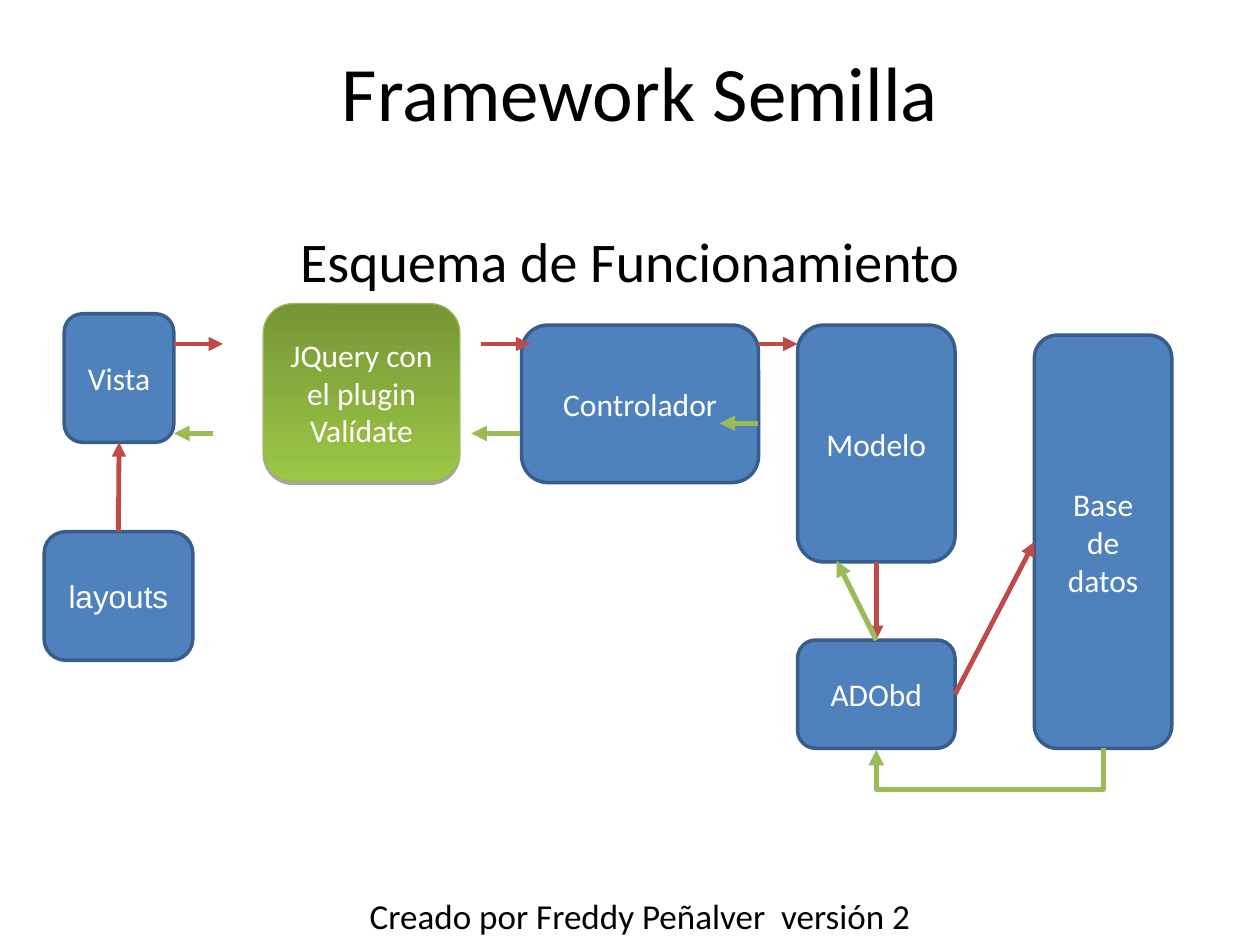
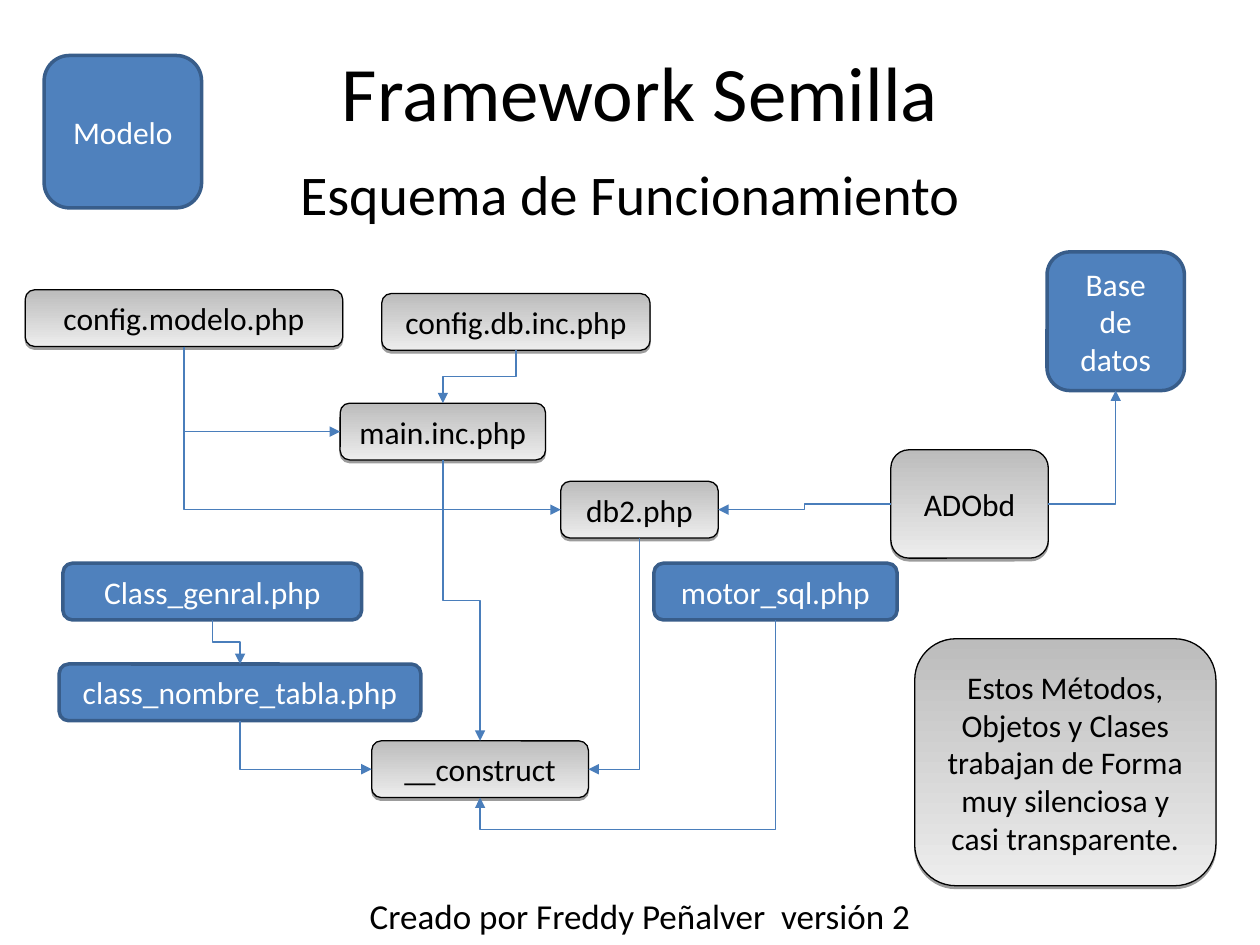
from collections import namedtuple

from lxml.etree import SubElement
from pptx import Presentation
from pptx.dml.color import RGBColor
from pptx.enum.shapes import MSO_CONNECTOR, MSO_SHAPE
from pptx.enum.text import MSO_ANCHOR, PP_ALIGN
from pptx.oxml.ns import qn
from pptx.util import Inches, Pt

FONT = "Calibri"
BLACK, WHITE = "000000", "FFFFFF"
TOP, LEFT, BOTTOM, RIGHT = range(4)

BoxStyle = namedtuple("BoxStyle", "fill border border_width text shadow")
BLUE = BoxStyle(["4F81BD"], "385D8A", 2, WHITE, None)
GREEN = BoxStyle(["9CC746", "769535"], "98B954", 0.75, WHITE, (35, 1.8))
GRAY = BoxStyle(["EDEDED", "BCBCBC"], BLACK, 0.75, BLACK, (38, 1.6))

LineStyle = namedtuple("LineStyle", "color width")
REQUEST = LineStyle("BE4B48", 2.75)
RESPONSE = LineStyle("9BBB59", 3)
DEPENDENCY = LineStyle("4A7EBB", 0.75)

Region = namedtuple("Region", "slide left top")
Joint = namedtuple("Joint", "box side")


def rgb(value):
    return RGBColor.from_string(value)


def write(shape, text, size, color, font=FONT):
    frame = shape.text_frame
    frame.word_wrap = True
    frame.vertical_anchor = MSO_ANCHOR.MIDDLE
    frame.text = text
    paragraph = frame.paragraphs[0]
    paragraph.alignment = PP_ALIGN.CENTER
    run_font = paragraph.runs[0].font
    run_font.name, run_font.size = font, Pt(size)
    run_font.color.rgb = rgb(color)
    return frame


def add_text(slide, box, text, size):
    label = slide.shapes.add_textbox(*map(Inches, box))
    return write(label, text, size, BLACK)


def add_shadow(shape, opacity, distance):
    effects = shape.element.spPr.find(qn("a:effectLst"))
    shadow = SubElement(effects, qn("a:outerShdw"), blurRad="0",
                        dist=str(Pt(distance)), dir="5400000", rotWithShape="0")
    color = SubElement(shadow, qn("a:srgbClr"), val=BLACK)
    SubElement(color, qn("a:alpha"), val=str(opacity * 1000))


def add_box(region, text, left, top, width, height, style=BLUE, font=FONT):
    box = region.slide.shapes.add_shape(
        MSO_SHAPE.ROUNDED_RECTANGLE, Inches(region.left + left),
        Inches(region.top + top), Inches(width), Inches(height))
    box.shadow.inherit = False
    if style.shadow:
        add_shadow(box, *style.shadow)
    if len(style.fill) == 1:
        box.fill.solid()
        box.fill.fore_color.rgb = rgb(style.fill[0])
    else:
        box.fill.gradient()
        box.fill.gradient_angle = 90
        for stop, color in zip(box.fill.gradient_stops, style.fill):
            stop.color.rgb = rgb(color)
    box.line.color.rgb = rgb(style.border)
    box.line.width = Pt(style.border_width)
    write(box, text, 18, style.text, font)
    return box


def locate(region, end):
    """Slide position of a joint, or of a point given in inches in the region."""
    if not isinstance(end, Joint):
        return Inches(region.left + end[0]), Inches(region.top + end[1])
    box, side = end
    across = {LEFT: 0, RIGHT: box.width}.get(side, box.width // 2)
    down = {TOP: 0, BOTTOM: box.height}.get(side, box.height // 2)
    return box.left + across, box.top + down


def style_arrow(connector, style):
    connector.line.color.rgb = rgb(style.color)
    connector.line.width = Pt(style.width)
    properties = connector.element.spPr
    SubElement(properties.find(qn("a:ln")), qn("a:tailEnd"), type="triangle")
    SubElement(properties, qn("a:effectLst"))


def add_arrow(region, start, end, style):
    arrow = region.slide.shapes.add_connector(
        MSO_CONNECTOR.STRAIGHT, *locate(region, start), *locate(region, end))
    if isinstance(start, Joint):
        arrow.begin_connect(*start)
    if isinstance(end, Joint):
        arrow.end_connect(*end)
    style_arrow(arrow, style)


def add_elbow(region, start, end, style=DEPENDENCY, bend=0.5):
    """Right-angled arrow; bend is the share of the way where it turns."""
    (x1, y1), (x2, y2) = locate(region, start), locate(region, end)
    starts_down = start.side == BOTTOM
    turns_once = starts_down != (end.side in (TOP, BOTTOM))
    if starts_down:
        # Lay the route out sideways around its centre, then turn it 90°.
        center_x, center_y = (x1 + x2) // 2, (y1 + y2) // 2
        half_length, half_rise = (y2 - y1) // 2, (x1 - x2) // 2
        x1, x2 = center_x - half_length, center_x + half_length
        y1, y2 = center_y - half_rise, center_y + half_rise
    elbow = region.slide.shapes.add_connector(MSO_CONNECTOR.ELBOW, x1, y1, x2, y2)
    properties = elbow.element.spPr
    if starts_down:
        properties.find(qn("a:xfrm")).set("rot", "5400000")
    geometry = properties.find(qn("a:prstGeom"))
    if turns_once:
        geometry.set("prst", "bentConnector2")
    else:
        SubElement(geometry.find(qn("a:avLst")), qn("a:gd"), name="adj1",
                   fmla=f"val {round(bend * 100000)}")
    style_arrow(elbow, style)


def add_frame(presentation, subtitle_top):
    """New slide with the shared title, subtitle and footer."""
    slide = presentation.slides.add_slide(presentation.slide_layouts[6])
    add_text(slide, (0.39, 0.23, 9.38, 0.98), "Framework Semilla", 44)
    add_text(slide, (0.39, 7.03, 9.38, 0.47),
             "Creado por Freddy Peñalver  versión 2", 20)
    subtitle = add_text(slide, (0.5, subtitle_top, 9, 0.64),
                        "Esquema de Funcionamiento", 32)
    subtitle.vertical_anchor = MSO_ANCHOR.TOP
    subtitle.paragraphs[0].space_before = Pt(8)
    return slide


def draw_request_flow(region):
    vista = add_box(region, "Vista", 0.21, 0.09, 0.87, 1.02)
    add_box(region, "Controlador", 3.84, 0.18, 1.88, 1.25)
    modelo = add_box(region, "Modelo", 6.03, 0.18, 1.25, 1.88)
    adobd = add_box(region, "ADObd", 6.03, 2.68, 1.25, 0.86)
    base = add_box(region, "Base de datos", 7.91, 0.26, 1.09, 3.28)
    add_box(region, "JQuery con el plugin Valídate", 1.79, 0.01, 1.56, 1.41, GREEN)
    layouts = add_box(region, "layouts", 0.05, 1.82, 1.18, 1.02, font="Arial")

    for start, end in ((1.08, 1.47), (3.52, 3.91), (5.72, 6.03)):
        add_arrow(region, (start, 0.33), (end, 0.33), REQUEST)
    for start, end, y in ((5.72, 5.41, 0.96), (3.83, 3.44, 1.04), (1.39, 1.08, 1.04)):
        add_arrow(region, (start, y), (end, y), RESPONSE)

    add_arrow(region, Joint(layouts, TOP), Joint(vista, BOTTOM), REQUEST)
    add_arrow(region, Joint(modelo, BOTTOM), Joint(adobd, TOP), REQUEST)
    add_arrow(region, Joint(adobd, RIGHT), Joint(base, LEFT), REQUEST)
    add_arrow(region, Joint(adobd, TOP), (6.34, 2.05), RESPONSE)
    # Both ends lie level, so a short drop carries the bend below them.
    drop = 0.01
    landing = Joint(namedtuple("Spot", "left top width height")(
        adobd.left, adobd.top, adobd.width, adobd.height + Inches(drop)), BOTTOM)
    add_elbow(region, Joint(base, BOTTOM), landing, RESPONSE, bend=0.33 / drop)


def draw_model_files(region):
    row = 0.45
    config_modelo = add_box(region, "config.modelo.php", 0, 0.3, 2.52, row, GRAY)
    config_db = add_box(region, "config.db.inc.php", 2.83, 0.33, 2.13, row, GRAY)
    main_inc = add_box(region, "main.inc.php", 2.5, 1.2, 1.63, row, GRAY)
    db2 = add_box(region, "db2.php", 4.25, 1.82, 1.25, row, GRAY)
    construct = add_box(region, "__construct", 2.75, 3.88, 1.72, row, GRAY)
    class_general = add_box(region, "Class_genral.php", 0.3, 2.47, 2.37, row)
    class_tabla = add_box(region, "class_nombre_tabla.php", 0.27, 3.27, 2.87, row)
    motor_sql = add_box(region, "motor_sql.php", 4.99, 2.47, 1.93, row)
    adobd = add_box(region, "ADObd", 6.87, 1.57, 1.25, 0.86, GRAY)
    base = add_box(region, "Base de datos", 8.11, 0, 1.09, 1.1)
    add_box(region, "Estos Métodos, Objetos y Clases trabajan de Forma "
            "muy silenciosa y casi transparente.", 7.06, 3.07, 2.39, 1.96, GRAY)

    for source, source_side, target, target_side in (
            (config_modelo, BOTTOM, main_inc, LEFT),
            (config_modelo, BOTTOM, db2, LEFT),
            (config_db, BOTTOM, main_inc, TOP),
            (adobd, LEFT, db2, RIGHT),
            (adobd, RIGHT, base, BOTTOM),
            (class_general, BOTTOM, class_tabla, TOP),
            (class_tabla, BOTTOM, construct, LEFT),
            (main_inc, BOTTOM, construct, TOP),
            (db2, BOTTOM, construct, RIGHT)):
        add_elbow(region, Joint(source, source_side), Joint(target, target_side))
    add_elbow(region, Joint(motor_sql, BOTTOM), Joint(construct, BOTTOM), bend=1.18)


def main():
    presentation = Presentation()
    presentation.slide_width, presentation.slide_height = Inches(10), Inches(7.5)

    flow_slide = add_frame(presentation, subtitle_top=1.75)
    draw_request_flow(Region(flow_slide, 0.3, 2.4))

    model_slide = add_frame(presentation, subtitle_top=1.22)
    add_box(Region(model_slide, 0.35, 0.44), "Modelo", 0, 0, 1.25, 1.21)
    draw_model_files(Region(model_slide, 0.2, 2))

    presentation.save("out.pptx")


if __name__ == "__main__":
    main()
